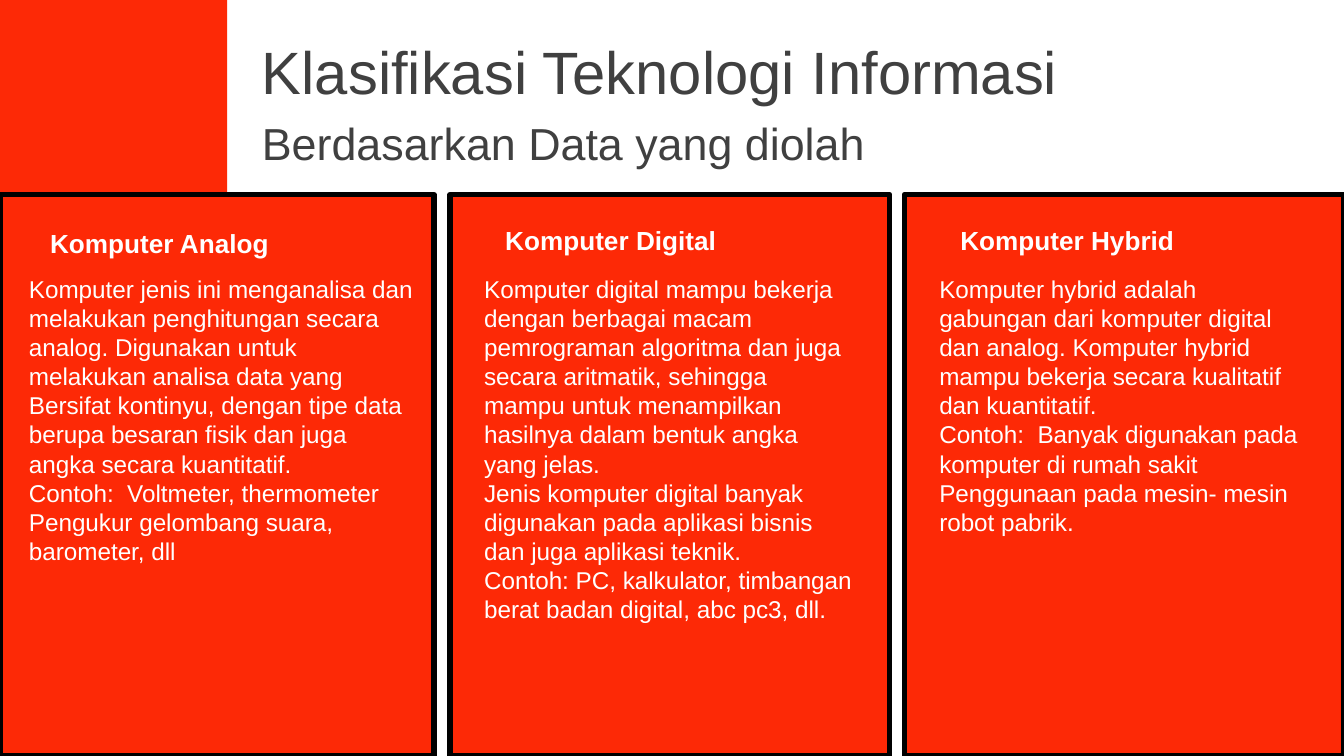
import pptx
import pptx.dml.color
import pptx.enum.shapes
import pptx.enum.text
import pptx.util

RED, BLACK, WHITE, GREY = "FD2906", "000000", "FFFFFF", "404040"


def color(hex_string):
    return pptx.dml.color.RGBColor.from_string(hex_string)


class SlideBuilder:
    """Holds the style and the slide; lengths are percent of the slide's size."""

    formats = {
        "title": {"size": pptx.util.Pt(32), "color": GREY},
        "subtitle": {"size": pptx.util.Pt(24), "color": GREY},
        "heading": {"size": pptx.util.Pt(14), "color": WHITE, "bold": True},
        "body": {"size": pptx.util.Pt(13), "color": WHITE},
    }

    def __init__(self, presentation):
        self.width = presentation.slide_width
        self.height = presentation.slide_height
        self.slide = presentation.slides.add_slide(presentation.slide_layouts[6])

    def place(self, left, top, width, height):
        return (int(self.width * left / 100), int(self.height * top / 100),
                int(self.width * width / 100), int(self.height * height / 100))

    def rectangle(self, box, fill, line=None):
        shape = self.slide.shapes.add_shape(
            pptx.enum.shapes.MSO_SHAPE.RECTANGLE, *self.place(*box))
        shape.shadow.inherit = False
        shape.fill.solid()
        shape.fill.fore_color.rgb = color(fill)
        if line:
            shape.line.color.rgb = color(line)
            shape.line.width = pptx.util.Pt(3)
        else:
            shape.line.fill.background()

    def text(self, box, paragraphs, anchor="TOP", gap=0):
        """Paragraphs are pairs of format name and wording."""
        frame = self.slide.shapes.add_textbox(*self.place(*box)).text_frame
        frame.word_wrap = True
        frame.vertical_anchor = getattr(pptx.enum.text.MSO_ANCHOR, anchor)
        for index, (style, wording) in enumerate(paragraphs):
            paragraph = frame.add_paragraph() if index else frame.paragraphs[0]
            paragraph.space_before = pptx.util.Pt(gap if index else 0)
            paragraph.text = wording
            paragraph.font.name = "Arial"
            for name, value in self.formats[style].items():
                if name == "color":
                    paragraph.font.color.rgb = color(value)
                else:
                    setattr(paragraph.font, name, value)

    def card(self, left, width, inset, text_width, heading_top, body_height,
             heading, lines):
        self.rectangle((left, 25.75, width, 74.25), RED, BLACK)
        text_left = left + inset
        self.text((text_left + 1.57, heading_top, text_width - 1.57, 6),
                  [("heading", heading)])
        self.text((text_left, 35.35, text_width, body_height),
                  [("body", line) for line in lines])


CARDS = [
    (0, 32.3, 1.17, 31.1, 29.15, 44.6, "Komputer Analog", [
        "Komputer jenis ini menganalisa dan",
        "melakukan penghitungan secara",
        "analog. Digunakan untuk",
        "melakukan analisa data yang",
        "Bersifat kontinyu, dengan tipe data berupa besaran fisik dan juga",
        "angka secara kuantitatif.",
        "Contoh:  Voltmeter, thermometer",
        "Pengukur gelombang suara,",
        "barometer, dll",
    ]),
    (33.5, 32.7, 1.54, 29.5, 28.85, 48.5, "Komputer Digital", [
        "Komputer digital mampu bekerja dengan berbagai macam",
        "pemrograman algoritma dan juga secara aritmatik, sehingga",
        "mampu untuk menampilkan",
        "hasilnya dalam bentuk angka",
        "yang jelas.",
        "Jenis komputer digital banyak",
        "digunakan pada aplikasi bisnis",
        "dan juga aplikasi teknik.",
        "Contoh: PC, kalkulator, timbangan berat badan digital, abc pc3, dll.",
    ]),
    (67.3, 32.7, 1.6, 29.5, 28.85, 36.8, "Komputer Hybrid", [
        "Komputer hybrid adalah",
        "gabungan dari komputer digital",
        "dan analog. Komputer hybrid",
        "mampu bekerja secara kualitatif",
        "dan kuantitatif.",
        "Contoh:  Banyak digunakan pada komputer di rumah sakit",
        "Penggunaan pada mesin- mesin",
        "robot pabrik.",
    ]),
]


def main():
    presentation = pptx.Presentation()
    presentation.slide_width = pptx.util.Inches(10)
    presentation.slide_height = pptx.util.Inches(10) * 9 // 16
    builder = SlideBuilder(presentation)

    # Side band and title
    builder.rectangle((0, 0, 16.9, 100), RED)
    builder.text((18.5, 2.5, 81.5, 22), [
        ("title", "Klasifikasi Teknologi Informasi"),
        ("subtitle", "Berdasarkan Data yang diolah"),
    ], anchor="MIDDLE", gap=4.8)

    # One card for each kind of computer
    for card in CARDS:
        builder.card(*card)

    presentation.save("out.pptx")


if __name__ == "__main__":
    main()
